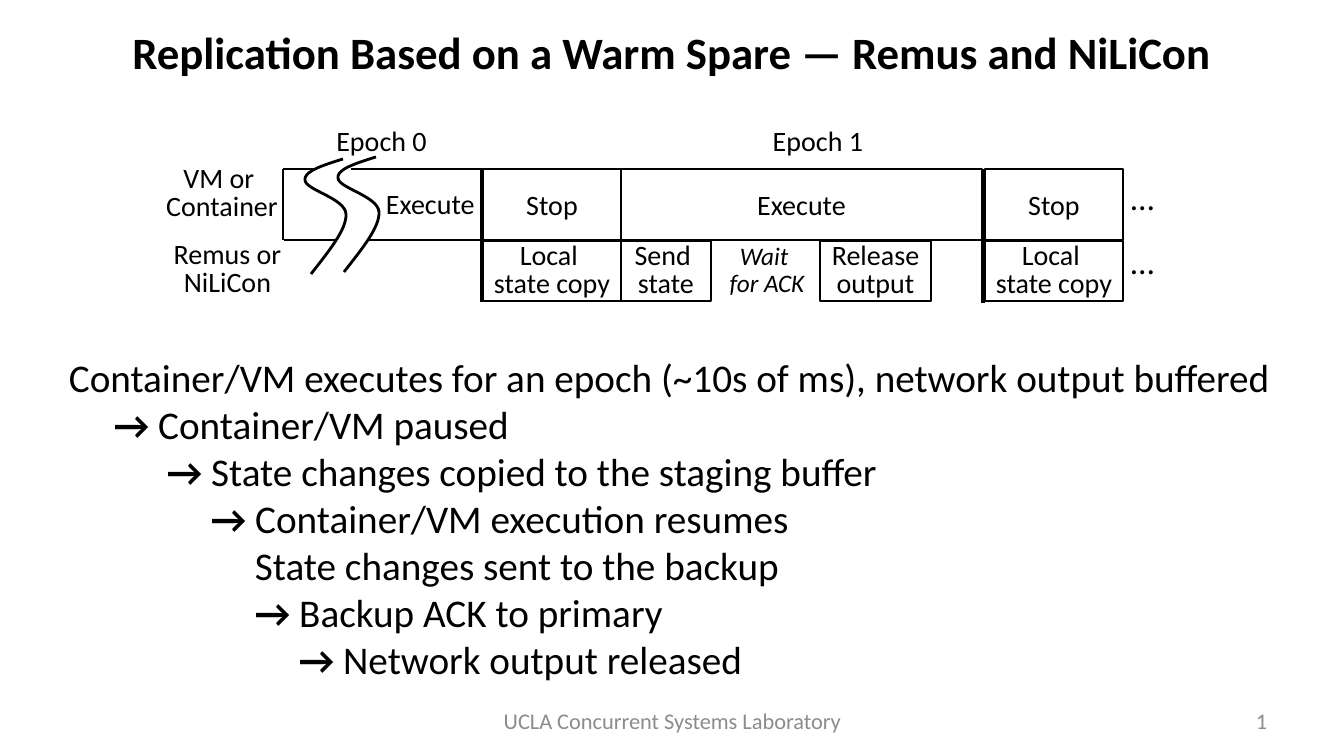
from lxml import etree
from pptx import Presentation
from pptx.dml.color import RGBColor
from pptx.enum.shapes import MSO_CONNECTOR, MSO_SHAPE
from pptx.enum.text import MSO_ANCHOR, PP_ALIGN
from pptx.oxml.ns import qn
from pptx.util import Emu, Pt

LEFT, CENTER, RIGHT = PP_ALIGN.LEFT, PP_ALIGN.CENTER, PP_ALIGN.RIGHT
TOP, MIDDLE = MSO_ANCHOR.TOP, MSO_ANCHOR.MIDDLE
RECT, STRAIGHT = MSO_SHAPE.RECTANGLE, MSO_CONNECTOR.STRAIGHT
PX = 914400 / 100.8
FONT, BLACK, WHITE, GRAY = "Calibri", "000000", "FFFFFF", "8C8C8C"

TITLE = "Replication Based on a Warm Spare — Remus and NiLiCon"
FOOTER = "UCLA Concurrent Systems Laboratory"
PAGE_NUMBER = "4"

# Steps: indent, has an arrow, wording
STEPS = [
    (0, False, "Container/VM executes for an epoch (~10s of ms), network output buffered"),
    (45, True, "Container/VM paused"),
    (98, True, "State changes copied to the staging buffer"),
    (142, True, "Container/VM execution resumes"),
    (186, False, "State changes sent to the backup"),
    (186, True, "Backup ACK to primary"),
    (230, True, "Network output released"),
]

# Timeline rows: top, height
GUEST_ROW, REPLICATION_ROW = (169, 71), (241, 60)
PAUSE_WIDTH = 138
PAUSE_LEFTS = [483, 985]
# Phases: left, width, row, lines, outline width, format
PHASES = [
    (711, 112, REPLICATION_ROW, ["Wait ", "for ACK"], 0,
     dict(size=18, italic=True, spacing=19)),
    (621, 90, REPLICATION_ROW, ["Send ", "state"], 2, dict(spacing=20)),
    (820, 111, REPLICATION_ROW, ["Release", "output"], 2, dict(spacing=20)),
    (621, 361, GUEST_ROW, ["Execute"], 2, {}),
]
# Labels: box, lines, format
LABELS = [
    ((138, 161, 168, 68), ["VM or ", "Container"], dict(spacing=20)),
    ((163, 237, 129, 68), ["Remus or", "NiLiCon"], dict(spacing=20)),
    ((297, 119, 169, 44), ["Epoch 0"], {}),
    ((723, 119, 190, 44), ["Epoch 1"], {}),
    ((376, 182, 358, 44), ["Execute"], dict(align=LEFT)),
    ((1121, 172, 104, 50), ["…"], dict(size=24, align=LEFT)),
    ((1121, 236, 53, 50), ["…"], dict(size=24, align=LEFT)),
]
# Rules: x1, y1, x2, y2, width
EPOCH_0_EDGES = [
    (283, 169, 313, 169, 1), (283, 169, 283, 240, 1), (284, 240, 335, 240, 1),
    (351, 169, 482, 169, 1), (368, 240, 484, 240, 1),
]
EPOCH_LIMITS = [(482, 168, 482, 302, 2.75), (983, 169, 983, 303, 2.75)]
# Break mark: start point, then Bezier segments of two controls and an end
BREAK_START = (343, 159)
BREAK_CURVES = [
    ((324, 165), (304, 171), (305, 180)),
    ((305, 190), (345, 198), (346, 214)),
    ((347, 229), (329, 251), (311, 274)),
]
BREAK_OFFSETS = [(0, 0), (33, -2)]


def px(*lengths):
    """Turn pixels into a list of EMU lengths."""
    return [Emu(round(length * PX)) for length in lengths]


def rgb(value):
    """Return the colour of a hex string."""
    return RGBColor.from_string(value)


def add_run(paragraph, text, size, color=BLACK, bold=False, italic=False):
    """Append one formatted run to a paragraph."""
    run = paragraph.add_run()
    run.text = text
    font = run.font
    font.name, font.size, font.bold, font.italic = FONT, Pt(size), bold, italic
    font.color.rgb = rgb(color)
    return run


def write(shape, lines, size=20, align=CENTER, anchor=TOP, spacing=None, **font):
    """Fill a shape with one paragraph per line."""
    frame = shape.text_frame
    frame.word_wrap, frame.vertical_anchor = True, anchor
    for index, line in enumerate(lines):
        paragraph = frame.add_paragraph() if index else frame.paragraphs[0]
        paragraph.alignment = align
        if spacing:
            paragraph.line_spacing = Pt(spacing)
        add_run(paragraph, line, size, **font)


def add_label(box, lines, **style):
    """Add a text box."""
    label = slide.shapes.add_textbox(*px(*box))
    write(label, lines, **style)
    return label


def add_phase(shapes, left, width, row, lines, outline=2, **style):
    """Add a white timeline block on a row."""
    top, height = row
    block = shapes.add_shape(RECT, *px(left, top, width, height))
    block.shadow.inherit = False
    block.fill.solid()
    block.fill.fore_color.rgb = rgb(WHITE)
    if outline:
        block.line.color.rgb, block.line.width = rgb(BLACK), Pt(outline)
    else:
        block.line.fill.background()
    write(block, lines, anchor=MIDDLE, **style)


def add_pause(left):
    """Add the grouped stop and local copy blocks."""
    group = slide.shapes.add_group_shape()
    add_phase(group.shapes, left, PAUSE_WIDTH, GUEST_ROW, ["Stop"])
    add_phase(group.shapes, left, PAUSE_WIDTH, REPLICATION_ROW,
              ["Local ", "state copy"], spacing=20)


def add_rule(x1, y1, x2, y2, width):
    """Add a straight black line without a shadow."""
    rule = slide.shapes.add_connector(STRAIGHT, *px(x1, y1, x2, y2))
    rule.line.color.rgb, rule.line.width = rgb(BLACK), Pt(width)
    etree.SubElement(rule._element.spPr, qn("a:effectLst"))


def bezier_points(start, curves, steps=16):
    """Sample the points that follow start along cubic curves."""
    points = []
    for first, second, end in curves:
        for step in range(1, steps + 1):
            t = step / steps
            u = 1 - t
            points.append(tuple(
                u**3 * a + 3 * u * u * t * b + 3 * u * t * t * c + t**3 * d
                for a, b, c, d in zip(start, first, second, end)))
        start = end
    return points


def add_break(dx, dy):
    """Add one wavy break mark, shifted by an offset."""
    x, y = BREAK_START
    builder = slide.shapes.build_freeform(*px(x + dx, y + dy), scale=1.0)
    points = bezier_points(BREAK_START, BREAK_CURVES)
    builder.add_line_segments([px(x + dx, y + dy) for x, y in points], close=False)
    mark = builder.convert_to_shape()
    mark.shadow.inherit = False
    mark.fill.background()
    mark.line.color.rgb, mark.line.width = rgb(BLACK), Pt(2)


def add_steps(box):
    """Add the sequence of steps, each indented by its depth."""
    frame = slide.shapes.add_textbox(*px(*box)).text_frame
    frame.word_wrap = True
    for index, (indent, arrow, wording) in enumerate(STEPS):
        paragraph = frame.add_paragraph() if index else frame.paragraphs[0]
        paragraph._p.get_or_add_pPr().set("marL", str(px(indent)[0]))
        if arrow:
            add_run(paragraph, "→ ", 28, bold=True)
        add_run(paragraph, wording, 28)


def make_number_field(label):
    """Turn the run of a label into a slide number field."""
    run = label.text_frame.paragraphs[0].runs[0]._r
    run.tag = qn("a:fld")
    run.set("id", "{B6F15528-21DE-4FAA-801E-634DDDAF4B2B}")
    run.set("type", "slidenum")


prs = Presentation()
prs.slide_width, prs.slide_height = px(1344, 756)
slide = prs.slides.add_slide(prs.slide_layouts[5])

title = slide.shapes.title
title.left, title.top, title.width, title.height = px(120, 6, 1104, 91)
write(title, [TITLE], size=32, bold=True, anchor=MIDDLE)
add_label((460, 701, 425, 40), [FOOTER], size=16, color=GRAY, anchor=MIDDLE)
make_number_field(add_label((964, 701, 313, 40), [PAGE_NUMBER], size=16,
                            color=GRAY, align=RIGHT, anchor=MIDDLE))
add_steps((59, 348, 1226, 343))

for left, width, row, lines, outline, style in PHASES:
    add_phase(slide.shapes, left, width, row, lines, outline, **style)
for edge in EPOCH_0_EDGES:
    add_rule(*edge)
for offset in BREAK_OFFSETS:
    add_break(*offset)
for limit in EPOCH_LIMITS:
    add_rule(*limit)
for left in PAUSE_LEFTS:
    add_pause(left)
for box, lines, style in LABELS:
    add_label(box, lines, **style)

prs.save("out.pptx")
